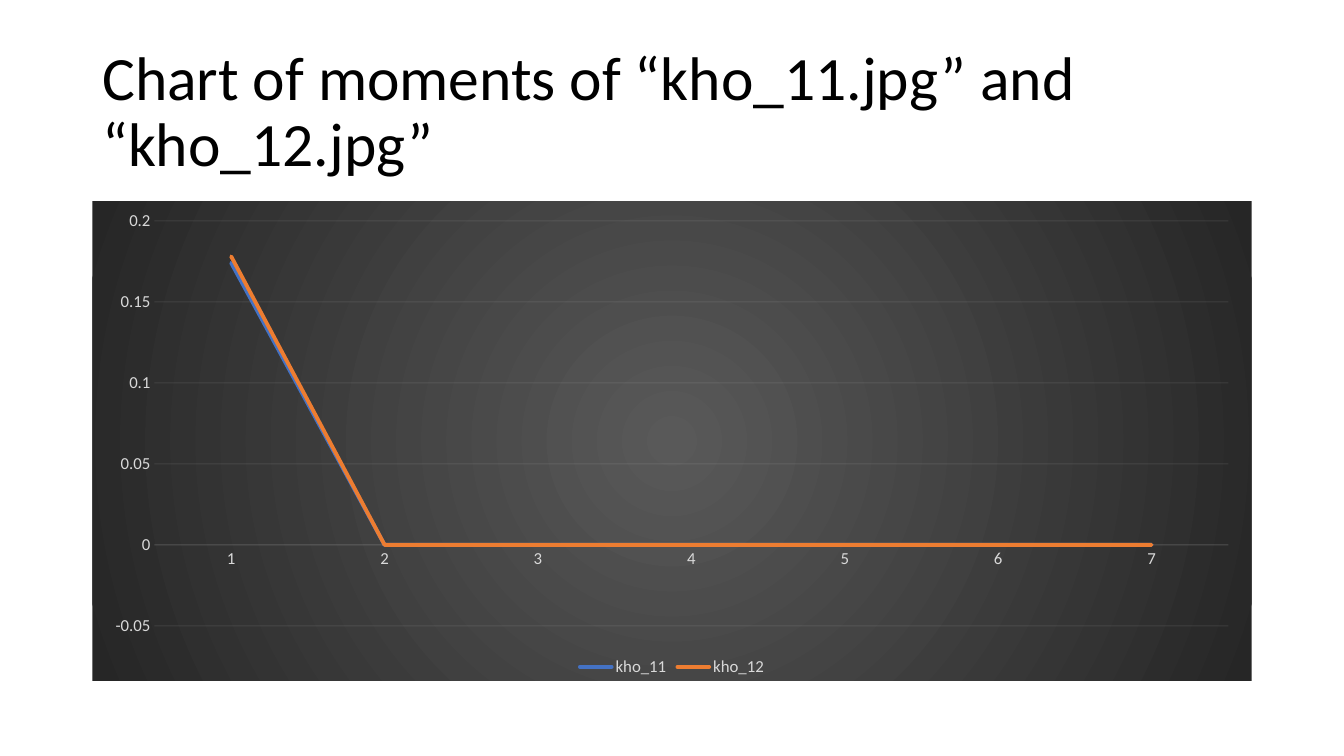
from lxml import etree
from pptx import Presentation
from pptx.chart import data as d
from pptx.dml.color import RGBColor
from pptx.enum import chart as c, text as t
from pptx.oxml import ns, parse_xml
from pptx.util import Pt


def color(value):
    return RGBColor.from_string(value)


def apply(target, **values):
    for name, value in values.items():
        setattr(target, name, value)


class Page:
    """Adds consistently styled elements to one slide."""

    font = "Calibri"
    label = "D9D9D9"
    rule = "F2F2F2"
    glow = ("595959", "262626")

    def __init__(self, deck):
        self.page = deck.slides.add_slide(deck.slide_layouts[6])

    def style_font(self, font, size, shade):
        apply(font, name=self.font, size=Pt(size))
        font.color.rgb = color(shade)

    def style_line(self, line, width, shade):
        line.width = Pt(width)
        line.color.rgb = color(shade)

    def title(self, words, frame):
        box = self.page.shapes.add_textbox(*map(Pt, frame)).text_frame
        apply(box, word_wrap=True, vertical_anchor=t.MSO_ANCHOR.MIDDLE)
        para = box.paragraphs[0]
        para.line_spacing = 0.9
        span = para.add_run()
        span.text = words
        self.style_font(span.font, 44, "000000")

    def line_chart(self, categories, series, frame):
        table = d.CategoryChartData()
        table.categories = categories
        for name, (values, _) in series.items():
            table.add_series(name, values)
        chart = self.page.shapes.add_chart(
            c.XL_CHART_TYPE.LINE, *map(Pt, frame), table).chart
        apply(chart, has_title=False, has_legend=True)
        self.style_font(chart.font, 12, self.label)
        apply(chart.legend, position=c.XL_LEGEND_POSITION.BOTTOM, include_in_layout=False)
        self.style_font(chart.legend.font, 12, self.label)
        for plotted, (_, shade) in zip(chart.plots[0].series, series.values()):
            apply(plotted, smooth=False)
            apply(plotted.marker, style=c.XL_MARKER_STYLE.NONE)
            self.style_line(plotted.format.line, 2.75, shade)
        self.axes(chart)
        self.finish(chart)

    def axes(self, chart):
        for axis in (chart.category_axis, chart.value_axis):
            apply(axis, major_tick_mark=c.XL_TICK_MARK.NONE,
                  minor_tick_mark=c.XL_TICK_MARK.NONE)
            self.style_font(axis.tick_labels.font, 12, self.label)
        self.style_line(chart.category_axis.format.line, 0.75, self.rule)
        scale = chart.value_axis
        apply(scale, minimum_scale=-0.05, maximum_scale=0.2, major_unit=0.05,
              has_major_gridlines=True)
        scale.format.line.fill.background()
        self.style_line(scale.major_gridlines.format.line, 0.75, self.rule)

    def finish(self, chart):
        root = chart.element
        for shade in root.iter(ns.qn("a:srgbClr")):
            if shade.get("val") == self.rule:
                etree.SubElement(shade, ns.qn("a:alpha"), val="10000")
        for series in root.iter(ns.qn("c:ser")):
            for line in series.iter(ns.qn("a:ln")):
                line.set("cap", "rnd")
        stops = "".join(
            f'<a:gs pos="{place}"><a:srgbClr val="{shade}"/></a:gs>'
            for place, shade in zip((0, 100000), self.glow))
        root.find(ns.qn("c:chart")).addnext(parse_xml(
            f'<c:spPr {ns.nsdecls("c", "a")}><a:gradFill><a:gsLst>{stops}</a:gsLst>'
            '<a:path path="circle"><a:fillToRect l="50000" t="50000" r="50000" b="50000"/>'
            '</a:path></a:gradFill><a:ln><a:noFill/></a:ln></c:spPr>'))


def main():
    deck = Presentation()
    apply(deck, slide_width=Pt(960), slide_height=Pt(540))
    page = Page(deck)
    page.title("Chart of moments of “kho_11.jpg” and “kho_12.jpg”", (66, 28.75, 828, 104.4))
    rest = [0] * 6
    page.line_chart(
        [str(number) for number in range(1, 8)],
        {"kho_11": ([0.174] + rest, "4472C4"), "kho_12": ([0.178] + rest, "ED7D31")},
        (66, 143.75, 828, 342.6))
    deck.save("out.pptx")


if __name__ == "__main__":
    main()
